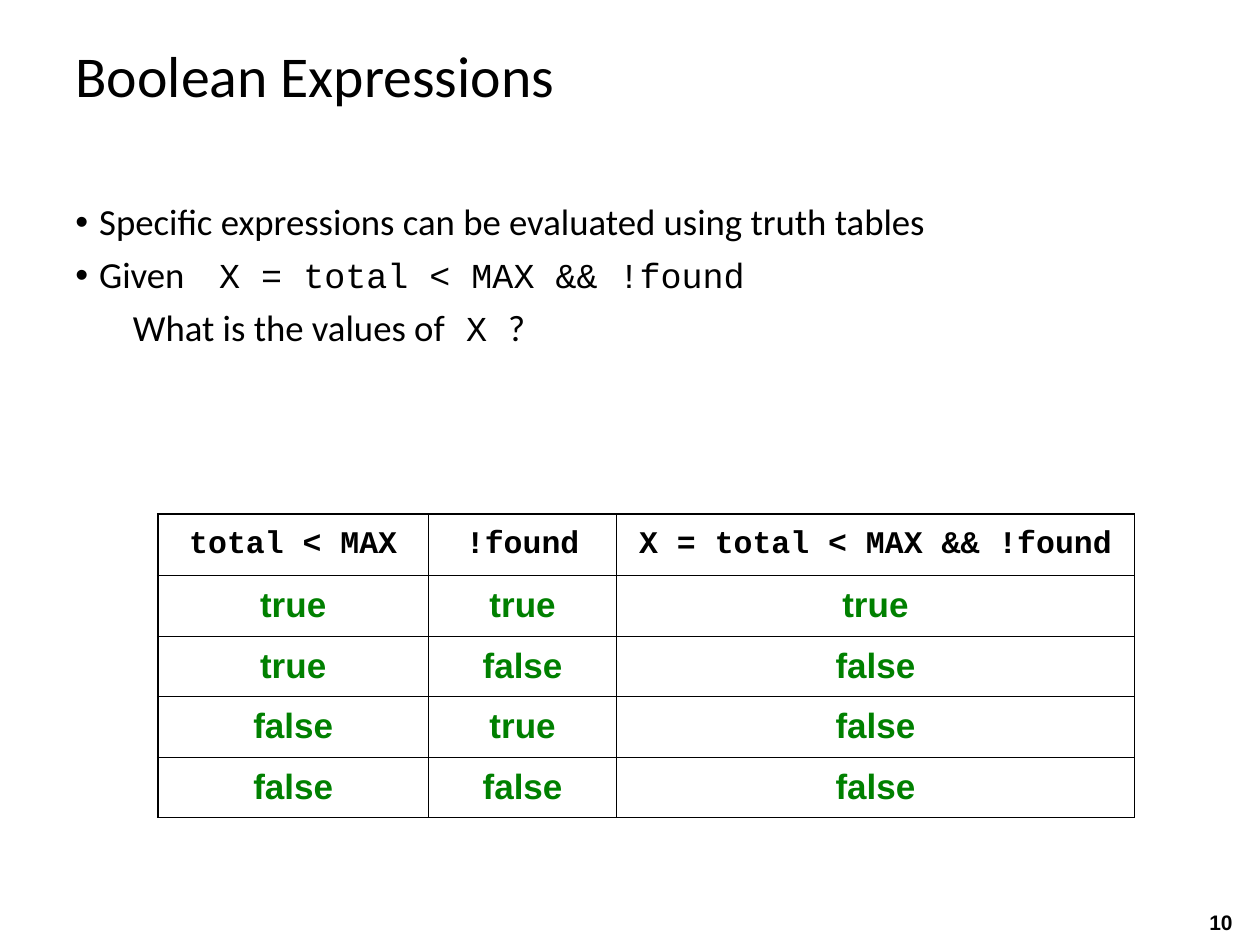
from lxml import etree
from pptx import Presentation
from pptx.dml.color import RGBColor
from pptx.enum.text import MSO_ANCHOR, PP_ALIGN
from pptx.oxml.ns import qn
from pptx.util import Cm, Pt

MIDDLE, TOP = MSO_ANCHOR.MIDDLE, MSO_ANCHOR.TOP
LEFT, CENTER = PP_ALIGN.LEFT, PP_ALIGN.CENTER
BLACK = RGBColor(0x00, 0x00, 0x00)
GREEN = RGBColor(0x00, 0x80, 0x00)
SANS, CODE, LABEL = "Calibri", "Courier New", "Arial"
OUTER, INNER = Pt(1.08), Pt(0.45)

BULLETS = [
    [("Specific expressions can be evaluated using truth tables", SANS, 21)],
    [("Given\t", SANS, 21), ("X = total < MAX && !found", CODE, 20)],
]
QUESTION = [("What is the values of", SANS, 21), (" X ", CODE, 20), ("?", SANS, 21)]
TRUTH_ROWS = [
    ["total < MAX", "!found", "X = total < MAX && !found"],
    ["true", "true", "true"],
    ["true", "false", "false"],
    ["false", "true", "false"],
    ["false", "false", "false"],
]


def style_span(span, font, size, color=BLACK, bold=False):
    """Set the font of one run."""
    span.font.name = font
    span.font.size = Pt(size)
    span.font.color.rgb = color
    span.font.bold = bold


def add_title(page, left, top, width, height):
    """Place and format the title placeholder."""
    title = page.shapes.title
    title.left, title.top, title.width, title.height = left, top, width, height
    frame = title.text_frame
    frame.text = "Boolean Expressions"
    frame.vertical_anchor = MIDDLE
    para = frame.paragraphs[0]
    para.alignment = LEFT
    para.line_spacing = 0.9
    style_span(para.runs[0], SANS, 33)


def add_line(para, parts, margin, bullet):
    """Fill one body paragraph, with a hanging bullet if asked."""
    para.line_spacing = 0.9
    para.space_before = Pt(7.5)
    for text, font, size in parts:
        span = para.add_run()
        span.text = text
        style_span(span, font, size)
    properties = para._p.get_or_add_pPr()
    properties.set("marL", str(margin))
    if bullet:
        properties.set("indent", str(-margin))
        etree.SubElement(properties, qn("a:buFont"), typeface=LABEL)
        etree.SubElement(properties, qn("a:buChar"), char="•")
        stops = etree.SubElement(properties, qn("a:tabLst"))
        etree.SubElement(stops, qn("a:tab"), pos=str(Cm(2.9)), algn="l")


def add_body(page, left, top, width, height):
    """Write the bullets and the question beneath them."""
    frame = page.shapes.add_textbox(left, top, width, height).text_frame
    frame.word_wrap = True
    frame.vertical_anchor = TOP
    lines = [(parts, Cm(0.48), True) for parts in BULLETS]
    lines.append((QUESTION, Cm(1.16), False))
    for index, (parts, margin, bullet) in enumerate(lines):
        para = frame.add_paragraph() if index else frame.paragraphs[0]
        add_line(para, parts, margin, bullet)


def set_borders(cell, widths):
    """Draw the left, right, top and bottom border of a cell."""
    properties = cell._tc.get_or_add_tcPr()
    for index, (side, width) in enumerate(zip("LRTB", widths)):
        line = etree.Element(qn(f"a:ln{side}"), w=str(width))
        fill = etree.SubElement(line, qn("a:solidFill"))
        etree.SubElement(fill, qn("a:srgbClr"), val=str(BLACK))
        properties.insert(index, line)


def add_truth_table(page, left, top, width, height):
    """Build the truth table with a heavier outer frame."""
    last_row, last_column = len(TRUTH_ROWS) - 1, len(TRUTH_ROWS[0]) - 1
    table = page.shapes.add_table(
        last_row + 1, last_column + 1, left, top, width, height).table
    table.first_row = table.horz_banding = False
    for column, share in zip(table.columns, (2.15, 1.49, 4.11)):
        column.width = int(width * share / 7.75)
    table.rows[0].height = Cm(1.24)
    for r, values in enumerate(TRUTH_ROWS):
        for c, value in enumerate(values):
            cell = table.cell(r, c)
            cell.text = value
            cell.fill.background()
            cell.vertical_anchor = MIDDLE
            para = cell.text_frame.paragraphs[0]
            para.alignment = CENTER
            para.space_before = Pt(5 if r else 4.5)
            look = (LABEL, 20, GREEN) if r else (CODE, 18, BLACK)
            style_span(para.runs[0], *look, bold=True)
            edges = (c == 0, c == last_column, r == 0, r == last_row)
            set_borders(cell, [OUTER if edge else INNER for edge in edges])


def add_page_number(page, left, top, width, height):
    """Write the page number in the corner."""
    frame = page.shapes.add_textbox(left, top, width, height).text_frame
    frame.word_wrap = True
    frame.text = "10"
    style_span(frame.paragraphs[0].runs[0], LABEL, 12, bold=True)


def main():
    """Build the deck and save it."""
    deck = Presentation()
    deck.slide_width, deck.slide_height = Cm(25.4), Cm(19.05)
    page = deck.slides.add_slide(deck.slide_layouts[5])
    add_page_number(page, Cm(24.13), Cm(18.21), Cm(1.27), Cm(0.76))
    add_title(page, Cm(1.27), Cm(0.64), Cm(22.02), Cm(1.9))
    add_body(page, Cm(1.27), Cm(3.99), Cm(22.86), Cm(5.54))
    add_truth_table(page, Cm(3.18), Cm(10.36), Cm(19.69), Cm(6.1))
    deck.save("out.pptx")


if __name__ == "__main__":
    main()
